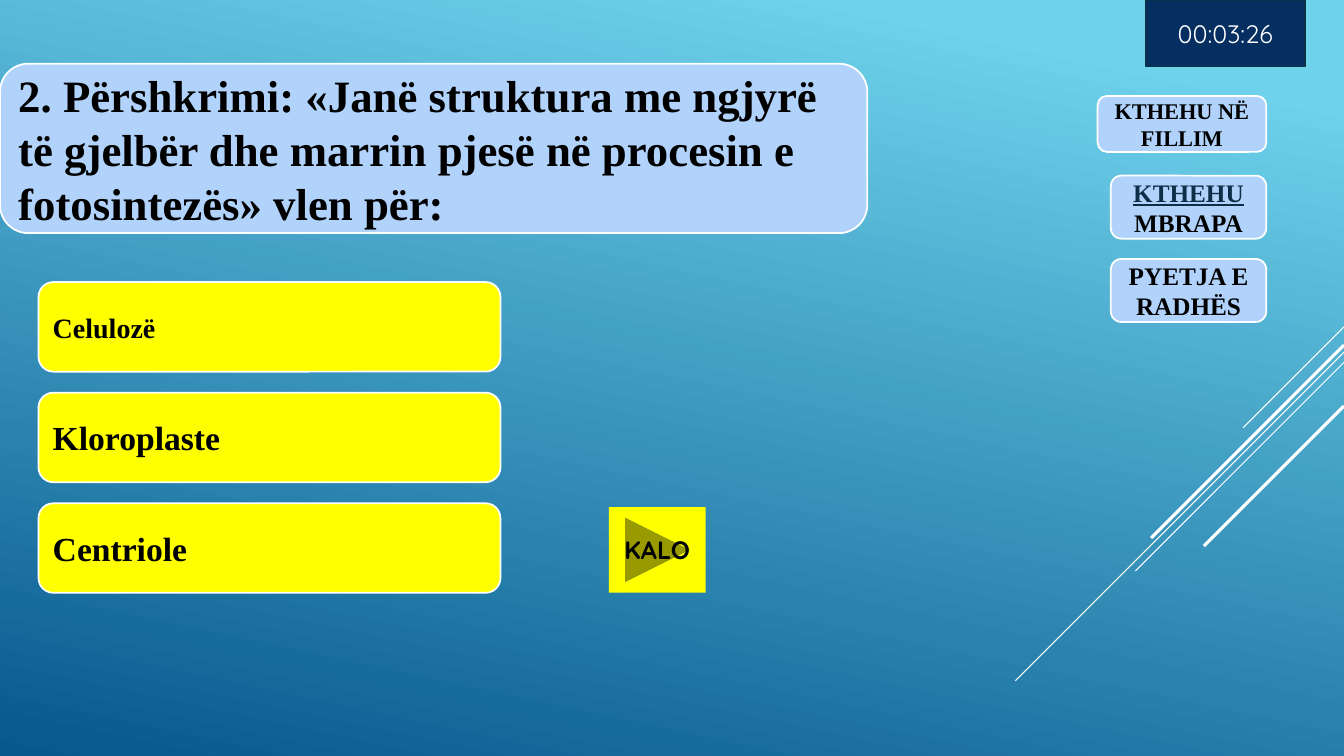
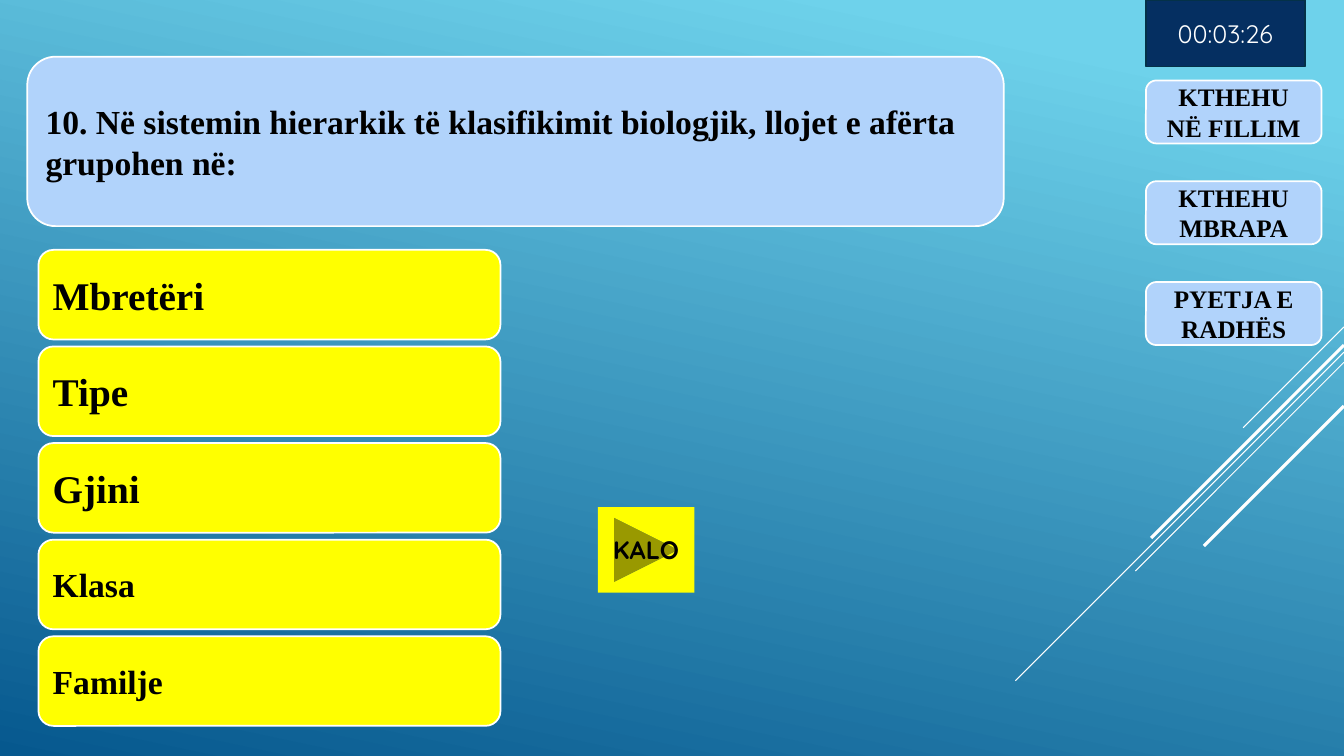
from dataclasses import dataclass
from pptx import Presentation
from pptx.dml.color import RGBColor as RGB
from pptx.enum.shapes import MSO_CONNECTOR as LINK, MSO_SHAPE as SHAPE
from pptx.enum.text import MSO_ANCHOR as ANCHOR, MSO_AUTO_SIZE as FIT, PP_ALIGN as ALIGN
from pptx.oxml.ns import qn
from pptx.util import Pt
from lxml import etree


@dataclass(frozen=True)
class Theme:
    # Colours
    sky: str = "6ED2EB"
    deep: str = "06588E"
    card: str = "B1D3FB"
    lemon: str = "FFFF00"
    navy: str = "052F61"
    edge: str = "043148"
    link: str = "0D2E46"
    white: str = "FFFFFF"
    black: str = "000000"
    # Fonts, text sizes and line widths
    serif: str = "Times New Roman"
    sans: str = "Quicksand"
    huge: int = 32
    big: int = 28
    mid: int = 24
    base: int = 20
    note: int = 18
    small: int = 16
    rim: float = 1.25
    thin: float = 0.75
    thick: float = 2.25


T = Theme()

# Diagonal rays: top end, run to the lower left, width
EDGE = 960
RAYS = [(233.5, 72, T.thin), (251.5, 234.7, T.thin), (258.8, 149, T.thin),
        (246.5, 137.8, T.thick), (290, 100, T.thick)]


def pts(*vals):
    return [Pt(v) for v in vals]


def write(frame, runs, align=ALIGN.LEFT, **fmt):
    """Fill a frame with one paragraph of (text, format) runs."""
    setup = {"word_wrap": True, "auto_size": FIT.NONE,
             "vertical_anchor": ANCHOR.MIDDLE,
             "margin_top": 0, "margin_bottom": 0}
    for key, val in setup.items():
        setattr(frame, key, val)
    para = frame.paragraphs[0]
    para.alignment = align
    for text, extra in runs:
        look = {"name": T.serif, "bold": True, "tint": T.black, **fmt, **extra}
        run = para.add_run()
        run.text = text
        run.font.color.rgb = RGB.from_string(look.pop("tint"))
        look["size"] = Pt(look["size"])
        for key, val in look.items():
            setattr(run.font, key, val)


def panel(slide, box, fill, line=T.white, kind=SHAPE.ROUNDED_RECTANGLE):
    form = slide.shapes.add_shape(kind, *pts(*box))
    form.shadow.inherit = False
    form.fill.solid()
    form.fill.fore_color.rgb = RGB.from_string(fill)
    if line:
        form.line.color.rgb = RGB.from_string(line)
        form.line.width = Pt(T.rim)
    else:
        form.line.fill.background()
    return form


def backdrop(deck):
    """Gradient on the master, shared by all slides."""
    fill = deck.slide_master.background.fill
    fill.gradient()
    fill.gradient_angle = 258
    for stop, (tint, at) in zip(fill.gradient_stops, [(T.sky, 0.1), (T.deep, 1)]):
        stop.color.rgb = RGB.from_string(tint)
        stop.position = at


def rays(slide):
    for top, run, width in RAYS:
        ray = slide.shapes.add_connector(
            LINK.STRAIGHT, *pts(EDGE, top, EDGE - run, top + run))
        ray.line.color.rgb = RGB.from_string(T.white)
        ray.line.width = Pt(width)
        etree.SubElement(ray._element.spPr, qn("a:effectLst"))


def heading(slide, box, text, size):
    """Rounded card with the title placeholder on top."""
    panel(slide, box, T.card)
    title = slide.shapes.title
    for key, val in zip(("left", "top", "width", "height"), pts(*box)):
        setattr(title, key, val)
    frame = title.text_frame
    frame.margin_left = frame.margin_right = Pt(13)
    write(frame, [(text, {})], size=size)
    slide.shapes._spTree.append(title._element)


def answers(slide, box, pitch, rows):
    left, top, width, high = box
    for i, (text, size) in enumerate(rows):
        form = panel(slide, (left, top + i * pitch, width, high), T.lemon)
        write(form.text_frame, [(text, {})], size=size)


def menu(slide, right, mid, pitch, items):
    """Buttons in a column, flush right, tall enough for two lines."""
    for i, (runs, width, size) in enumerate(items):
        high = 2.5 * size
        top = mid + i * pitch - high / 2
        form = panel(slide, (right - width, top, width, high), T.card)
        write(form.text_frame, runs, ALIGN.CENTER, size=size)


def skip(slide, left):
    form = panel(slide, (left, 362.3, 69, 61), T.lemon, None,
                 SHAPE.ACTION_BUTTON_FORWARD_OR_NEXT)
    write(form.text_frame, [("KALO", {})], ALIGN.CENTER, size=T.note, name=T.sans)


def timer(slide):
    form = panel(slide, (818.5, 0, 113.5, 47.5), T.navy, T.edge, SHAPE.RECTANGLE)
    write(form.text_frame, [("00:03:26", {})], ALIGN.CENTER,
          size=T.note, name=T.sans, bold=False, tint=T.white)


def quiz(deck, head, rows, nav, play):
    """One question slide."""
    slide = deck.slides.add_slide(deck.slide_layouts[5])
    rays(slide)
    heading(slide, *head)
    answers(slide, *rows)
    menu(slide, *nav)
    skip(slide, play)
    timer(slide)


def main():
    deck = Presentation()
    deck.slide_width, deck.slide_height = pts(EDGE, 540)
    backdrop(deck)

    home, back, ahead = ([(text, {})] for text in (
        "KTHEHU NË FILLIM", "KTHEHU MBRAPA", "PYETJA E RADHËS"))
    linked = [("KTHEHU", {"tint": T.link, "underline": True}), (" MBRAPA", {})]

    # Question 2
    quiz(deck,
         ((0, 45.5, 619.5, 121),
          "2. Përshkrimi: «Janë struktura me ngjyrë të gjelbër dhe marrin "
          "pjesë në procesin e fotosintezës» vlen për:", T.huge),
         ((27.5, 201.5, 330, 64), 79,
          [("Celulozë", T.base), ("Kloroplaste", T.mid), ("Centriole", T.mid)]),
         (904.5, 88.5, 59.5,
          [(home, 120.5, T.small), (linked, 111, T.note),
           (ahead, 111, T.note)]),
         435)

    # Question 10
    quiz(deck,
         ((19.5, 40.5, 697.5, 121),
          "10. Në sistemin hierarkik të klasifikimit biologjik, llojet e "
          "afërta grupohen në:", T.mid),
         ((27.5, 178.5, 330, 64), 69,
          [("Mbretëri", T.big), ("Tipe", T.big), ("Gjini", T.big),
           ("Klasa", T.mid), ("Familje", T.mid)]),
         (944, 80, 72,
          [(runs, 125.5, T.note) for runs in (home, back, ahead)]),
         427)

    deck.save("out.pptx")


if __name__ == "__main__":
    main()
